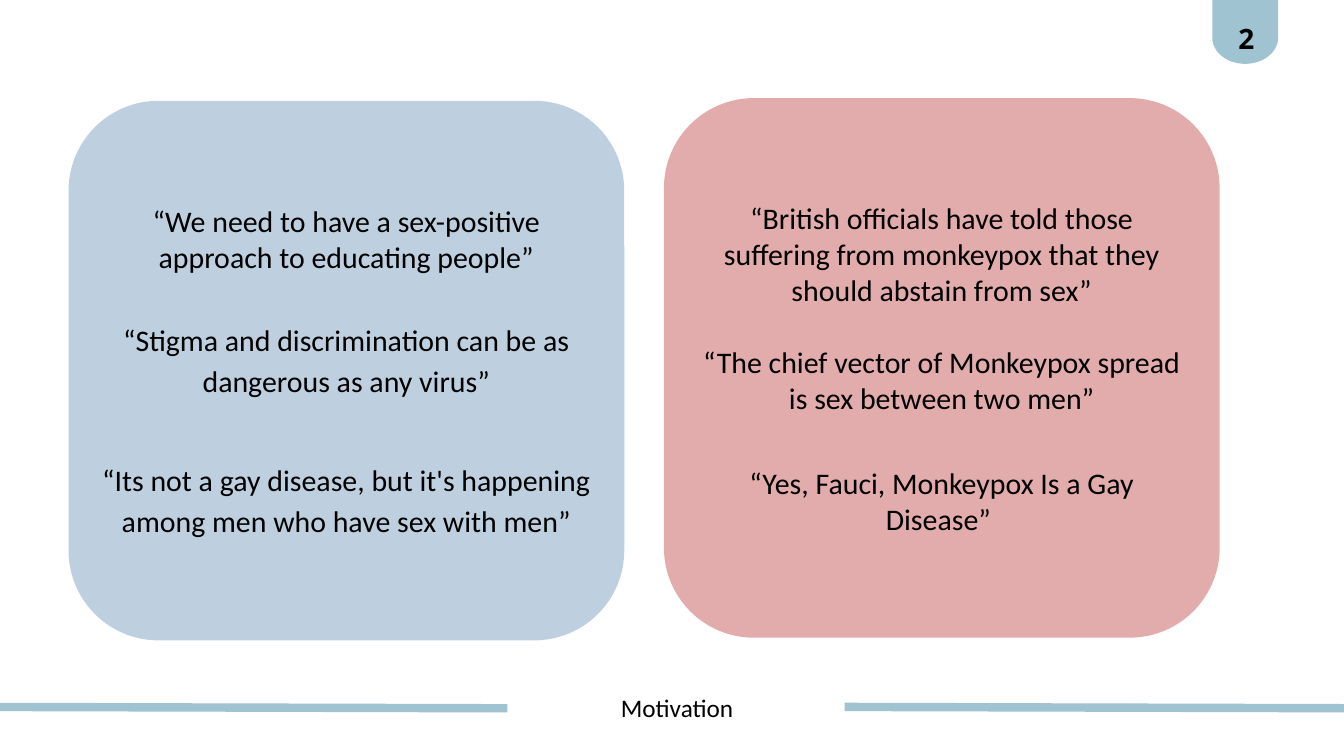
from dataclasses import dataclass
from math import cos, pi, sin

from lxml.etree import SubElement
from pptx import Presentation
from pptx.dml.color import RGBColor
from pptx.enum.shapes import MSO_CONNECTOR, MSO_SHAPE
from pptx.enum.text import MSO_ANCHOR, MSO_AUTO_SIZE, PP_ALIGN
from pptx.oxml.ns import qn
from pptx.util import Inches, Pt

TEAL = "9FC3D0"
BLACK = "000000"
QUOTE_FONT = {"name": "Calibri", "size": Pt(32)}
TITLE_FONT = {"name": "Calibri", "size": Pt(27), "bold": False}
NUMBER_FONT = {"name": "Open Sans", "size": Pt(30), "bold": True}
LOOSE = {"line_spacing": 1.15, "space_after": Pt(8)}
FREE_TEXT = {
    "margin_left": 0, "margin_top": 0, "margin_right": 0, "margin_bottom": 0,
    "word_wrap": True, "vertical_anchor": MSO_ANCHOR.TOP,
    "auto_size": MSO_AUTO_SIZE.SHAPE_TO_FIT_TEXT,
}


@dataclass
class Quote:
    text: str
    layout: dict


@dataclass
class Panel:
    left: float
    top: float
    color: str
    quotes: list[Quote]


PANELS = [
    Panel(1.02, 1.5, "3B719F", [
        Quote("“We need to have a sex-positive approach to educating people”", {}),
        Quote("“Stigma and discrimination can be as dangerous as any virus”",
              {**LOOSE, "space_before": Pt(45)}),
        Quote("“Its not a gay disease, but it's happening among men who have sex with men”",
              {**LOOSE, "space_before": Pt(53)}),
    ]),
    Panel(9.88, 1.46, "A90505", [
        Quote("“British officials have told those suffering from monkeypox "
              "that they should abstain from sex”", {}),
        Quote("“The chief vector of Monkeypox spread is sex between two men”",
              {"space_before": Pt(39)}),
        Quote("“Yes, Fauci, Monkeypox Is a Gay Disease” ", {"space_before": Pt(53)}),
    ]),
]


def rgb(color: str) -> RGBColor:
    return RGBColor.from_string(color)


def set_all(target, values: dict) -> None:
    for name, value in values.items():
        setattr(target, name, value)


def write(para, text: str, font: dict, layout: dict) -> None:
    set_all(para, {"alignment": PP_ALIGN.CENTER, **layout})
    span = para.add_run()
    span.text = text
    set_all(span.font, font)
    span.font.color.rgb = rgb(BLACK)


def paint(shape, color: str) -> None:
    shape.shadow.inherit = False
    shape.fill.solid()
    shape.fill.fore_color.rgb = rgb(color)
    shape.line.fill.background()


def add_panel(page, panel: Panel) -> None:
    box = page.shapes.add_shape(
        MSO_SHAPE.ROUNDED_RECTANGLE, Inches(panel.left), Inches(panel.top),
        Inches(8.27), Inches(8.03))
    paint(box, panel.color)
    tint = box.fill._xPr.find(qn("a:solidFill"))[0]
    SubElement(tint, qn("a:alpha"), val="33000")
    frame = box.text_frame
    set_all(frame, {"word_wrap": True, "vertical_anchor": MSO_ANCHOR.MIDDLE})
    for index, quote in enumerate(panel.quotes):
        para = frame.add_paragraph() if index else frame.paragraphs[0]
        write(para, quote.text, QUOTE_FONT, quote.layout)


def add_title(page, text: str) -> None:
    title = page.shapes.title
    set_all(title, {"left": Inches(6.31), "top": Inches(10.23),
                    "width": Inches(7.53), "height": Inches(0.51)})
    set_all(title.text_frame, FREE_TEXT)
    write(title.text_frame.paragraphs[0], text, TITLE_FONT,
          {"line_spacing": Pt(37.8), "space_before": Pt(0)})


def add_rule(page, left: float) -> None:
    rule = page.shapes.add_connector(
        MSO_CONNECTOR.STRAIGHT, Inches(left), Inches(10.52),
        Inches(left + 7.77), Inches(10.54))
    rule.line.color.rgb = rgb(TEAL)
    rule.line.width = Pt(9)
    SubElement(rule._element.spPr, qn("a:effectLst"))


def add_page_tab(page, number: str) -> None:
    left, right, shoulder, depth, steps = 18.04, 19.02, 0.56, 0.39, 32
    center, radius = (left + right) / 2, (right - left) / 2
    angles = [pi * step / steps for step in range(steps + 1)]
    curve = [(Inches(center + radius * cos(angle)), Inches(shoulder + depth * sin(angle)))
             for angle in angles]
    group = page.shapes.add_group_shape()
    builder = group.shapes.build_freeform(Inches(left), 0)
    builder.add_line_segments([(Inches(right), 0), *curve], close=True)
    paint(builder.convert_to_shape(), TEAL)
    label = group.shapes.add_textbox(
        Inches(18.02), Inches(-0.26), Inches(1.05), Inches(0.93))
    set_all(label.text_frame, FREE_TEXT)
    write(label.text_frame.paragraphs[0], number, NUMBER_FONT, {"line_spacing": Pt(78)})


def main() -> None:
    deck = Presentation()
    set_all(deck, {"slide_width": Inches(20), "slide_height": Inches(11.25)})
    page = deck.slides.add_slide(deck.slide_layouts[5])
    for panel in PANELS:
        add_panel(page, panel)
    add_title(page, "Motivation")
    for left in (-0.22, 12.57):
        add_rule(page, left)
    add_page_tab(page, "2")
    deck.save("out.pptx")


if __name__ == "__main__":
    main()
